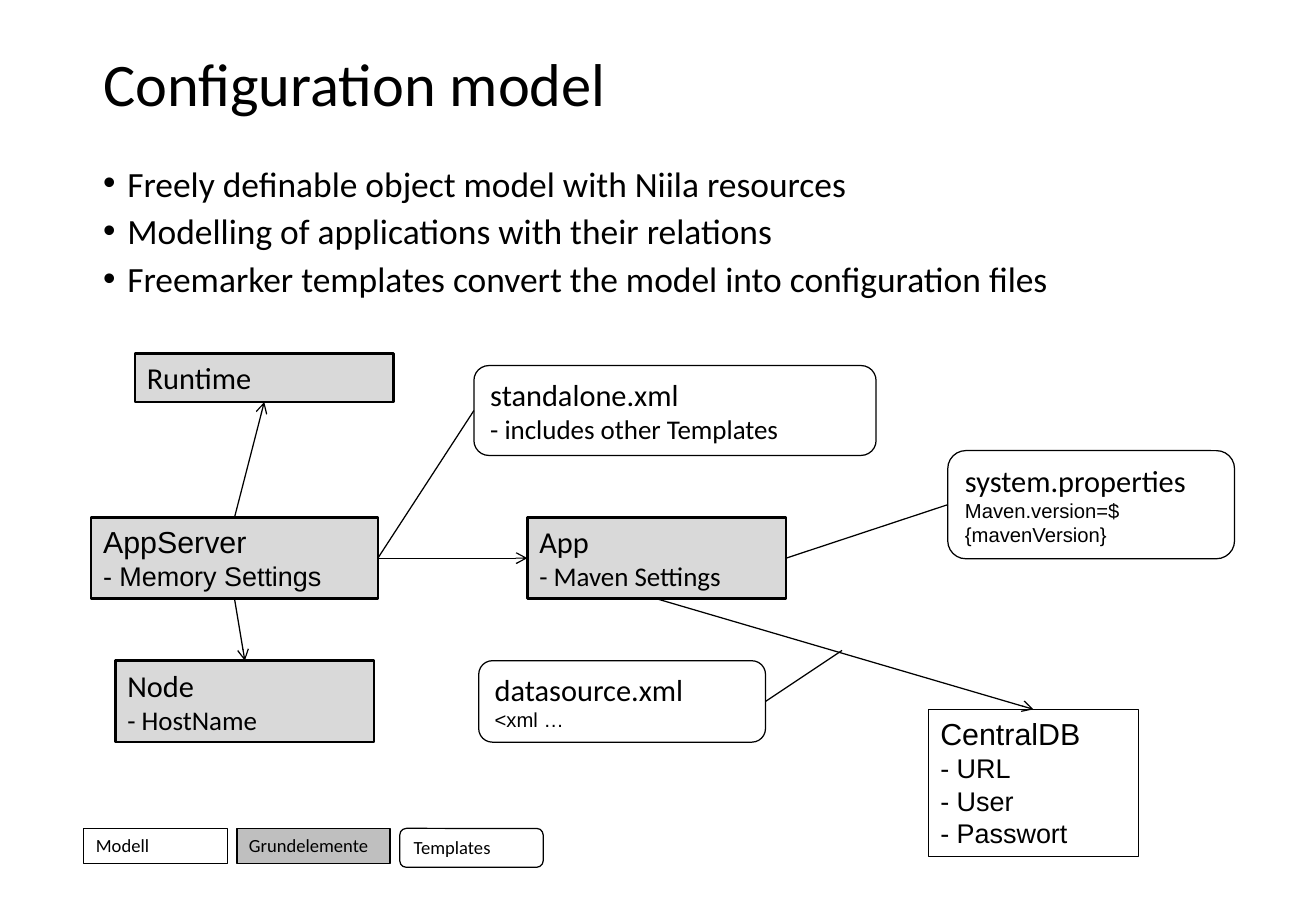
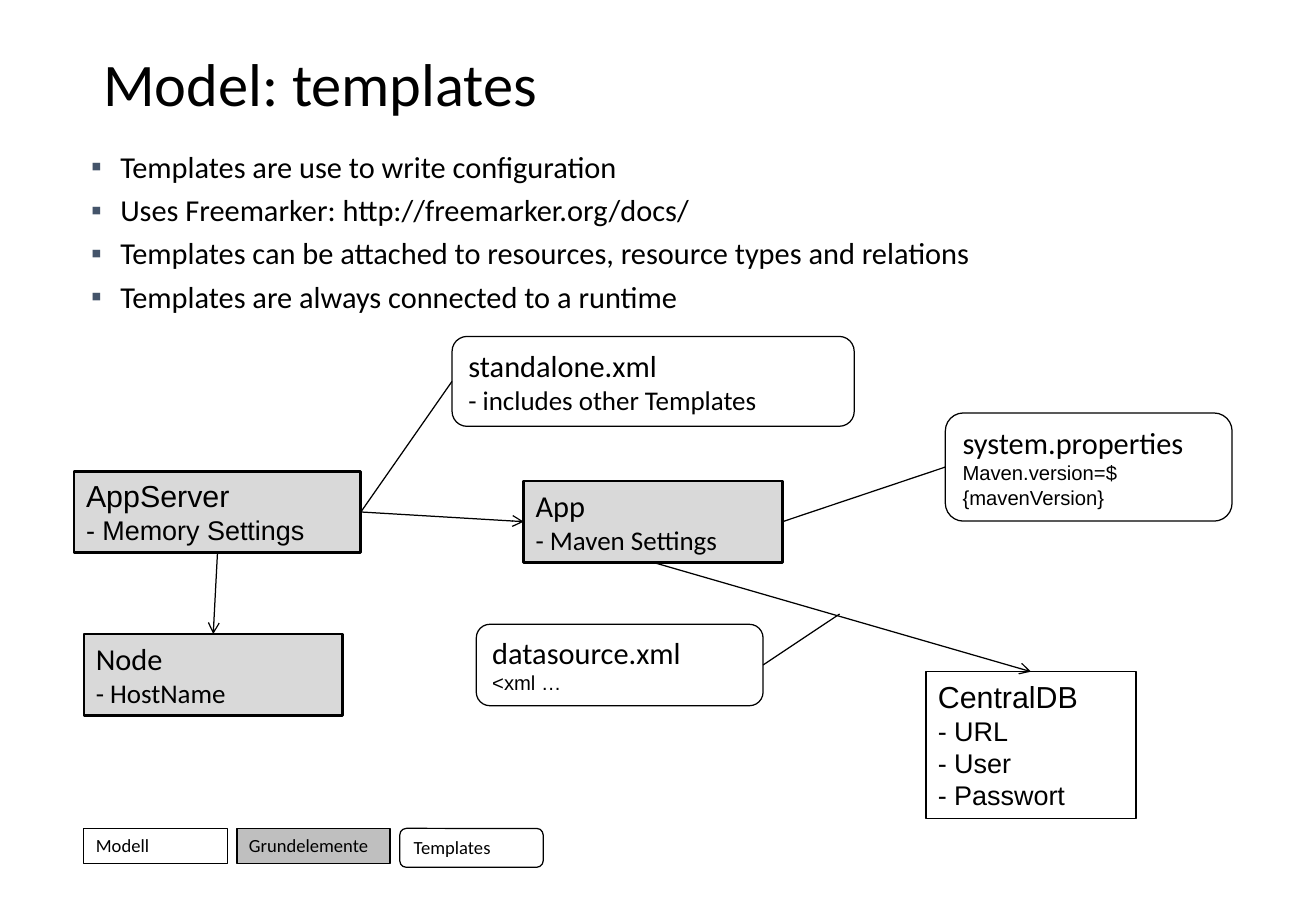
from collections import namedtuple

from lxml.etree import SubElement
from pptx import Presentation
from pptx.dml.color import RGBColor
from pptx.enum.shapes import MSO_CONNECTOR, MSO_SHAPE
from pptx.enum.text import MSO_ANCHOR, MSO_AUTO_SIZE, PP_ALIGN
from pptx.oxml.ns import qn
from pptx.util import Inches, Pt

Style = namedtuple("Style", "outline fill line_width")
Node = namedtuple("Node", "style width height heading details font detail_font detail_size",
                  defaults=("Calibri", "Calibri", 16))

BLACK, WHITE, SLATE = "000000", "FFFFFF", "44546A"
MODEL = Style(MSO_SHAPE.RECTANGLE, WHITE, 0.75)
BASE = Style(MSO_SHAPE.RECTANGLE, "D9D9D9", 1.5)
BASE_KEY = Style(MSO_SHAPE.RECTANGLE, "BFBFBF", 1)
TEMPLATE = Style(MSO_SHAPE.ROUNDED_RECTANGLE, WHITE, 0.75)
TOP, LEFT, BOTTOM, RIGHT = range(4)

NODES = {
    "runtime": Node(BASE, 2.13, 0.4, "Runtime", []),
    "server": Node(BASE, 2.36, 0.67, "AppServer", ["- Memory Settings"], "Arial", "Arial"),
    "node": Node(BASE, 2.13, 0.67, "Node", ["- HostName"]),
    "app": Node(BASE, 2.13, 0.67, "App", ["- Maven Settings"]),
    "database": Node(MODEL, 1.73, 1.21, "CentralDB", ["- URL", "- User", "- Passwort"],
                     "Arial", "Arial"),
    "standalone": Node(TEMPLATE, 3.31, 0.74, "standalone.xml", ["- includes other Templates"]),
    "properties": Node(TEMPLATE, 2.36, 0.89, "system.properties",
                       ["Maven.version=${mavenVersion}"], "Calibri", "Arial", 12),
    "datasource": Node(TEMPLATE, 2.36, 0.67, "datasource.xml", ["<xml …"], "Calibri", "Arial", 12),
}
LINKS = [
    ("server", TOP, "runtime", BOTTOM, True),
    ("server", BOTTOM, "node", TOP, True),
    ("server", RIGHT, "app", LEFT, True),
    ("app", BOTTOM, "database", TOP, True),
    ("server", RIGHT, "standalone", LEFT, False),
    ("app", RIGHT, "properties", LEFT, False),
]
LEGEND = [
    (MODEL, 0.69, 1.18, 0.29, "Modell"),
    (BASE_KEY, 1.95, 1.26, 0.29, "Grundelemente"),
    (TEMPLATE, 3.29, 1.18, 0.32, "Templates"),
]


def rgb(value):
    return RGBColor.from_string(value)


def write(paragraph, text, size, font="Calibri"):
    paragraph.text = text
    paragraph.font.size = Pt(size)
    paragraph.font.name = font
    paragraph.font.color.rgb = rgb(BLACK)


def next_paragraph(frame, index):
    return frame.add_paragraph() if index else frame.paragraphs[0]


def add_titled_slide(deck, text):
    slide = deck.slides.add_slide(deck.slide_layouts[5])
    title = slide.shapes.title
    title.left, title.top, title.width, title.height = map(Inches, (0.75, 0.4, 9.34, 0.99))
    frame = title.text_frame
    frame.auto_size = MSO_AUTO_SIZE.NONE
    frame.vertical_anchor = MSO_ANCHOR.TOP
    heading = frame.paragraphs[0]
    write(heading, text, 35.8)
    heading.alignment = PP_ALIGN.LEFT
    heading.line_spacing = 0.9
    return slide


def add_bullets(slide, place, lines, size, mark, mark_color, indent,
                inset=None, line_spacing=1.0, before=0, after=0):
    frame = slide.shapes.add_textbox(*map(Inches, place)).text_frame
    frame.word_wrap = True
    if inset is not None:
        frame.margin_left = frame.margin_right = Inches(inset)
        frame.margin_top = frame.margin_bottom = Inches(inset)
    for index, line in enumerate(lines):
        paragraph = next_paragraph(frame, index)
        props = paragraph._p.get_or_add_pPr()
        props.set("marL", str(Inches(indent)))
        props.set("indent", str(-Inches(indent)))
        SubElement(SubElement(props, qn("a:buClr")), qn("a:srgbClr")).set("val", mark_color)
        SubElement(props, qn("a:buFont")).set("typeface", "Arial")
        SubElement(props, qn("a:buChar")).set("char", mark)
        paragraph.line_spacing = line_spacing
        paragraph.space_before = Pt(before)
        paragraph.space_after = Pt(after)
        write(paragraph, line, size)


def add_box(slide, style, place, lines):
    box = slide.shapes.add_shape(style.outline, *map(Inches, place))
    box.shadow.inherit = False
    box.fill.solid()
    box.fill.fore_color.rgb = rgb(style.fill)
    box.line.color.rgb = rgb(BLACK)
    box.line.width = Pt(style.line_width)
    frame = box.text_frame
    frame.word_wrap = True
    frame.vertical_anchor = MSO_ANCHOR.TOP
    for index, line in enumerate(lines):
        paragraph = next_paragraph(frame, index)
        paragraph.alignment = PP_ALIGN.LEFT
        write(paragraph, *line)
    return box


def add_node(slide, node, left, top):
    lines = [(node.heading, 18, node.font)]
    lines += [(detail, node.detail_size, node.detail_font) for detail in node.details]
    return add_box(slide, node.style, (left, top, node.width, node.height), lines)


def add_link(slide, source, site, arrow=False):
    link = slide.shapes.add_connector(MSO_CONNECTOR.STRAIGHT, 0, 0, 0, 0)
    link.begin_connect(source, site)
    link.line.color.rgb = rgb(BLACK)
    link.line.width = Pt(0.75)
    if arrow:
        SubElement(link.line._get_or_add_ln(), qn("a:tailEnd")).set("type", "arrow")
    SubElement(link._element.spPr, qn("a:effectLst"))
    return link


def add_diagram(slide, places):
    boxes = {key: add_node(slide, NODES[key], *place) for key, place in places.items()}
    for source, source_site, target, target_site, arrow in LINKS:
        if source in boxes and target in boxes:
            link = add_link(slide, boxes[source], source_site, arrow)
            link.end_connect(boxes[target], target_site)
    relation = add_link(slide, boxes["datasource"], RIGHT)
    start_x, start_y = relation.begin_x, relation.begin_y
    relation.end_x = start_x + Inches(0.63)
    relation.end_y = start_y - Inches(0.42)
    for style, left, width, height, label in LEGEND:
        add_box(slide, style, (left, 6.82, width, height), [(label, 11)])


def main():
    deck = Presentation()
    deck.slide_width, deck.slide_height = Inches(10.83), Inches(7.5)

    configuration = add_titled_slide(deck, "Configuration model")
    add_bullets(configuration, (0.75, 1.35, 9.34, 1.17), [
        "Freely definable object model with Niila resources",
        "Modelling of applications with their relations",
        "Freemarker templates convert the model into configuration files",
    ], 21, "•", BLACK, 0.2, line_spacing=0.8, before=8.1)
    add_diagram(configuration, {
        "runtime": (1.11, 2.91), "server": (0.75, 4.26), "node": (0.95, 5.44),
        "app": (4.34, 4.26), "database": (7.64, 5.84), "standalone": (3.9, 3.01),
        "properties": (7.8, 3.71), "datasource": (3.94, 5.44),
    })

    templates = add_titled_slide(deck, "Model: templates")
    add_bullets(templates, (0.75, 1.22, 9.76, 1.5), [
        "Templates are use to write configuration",
        "Uses Freemarker: http://freemarker.org/docs/",
        "Templates can be attached to resources, resource types and relations",
        "Templates are always connected to a runtime",
    ], 18, "▪", SLATE, 0.24, inset=0, after=4)
    add_diagram(templates, {
        "server": (0.61, 3.88), "node": (0.69, 5.22), "app": (4.31, 3.96),
        "database": (7.62, 5.53), "standalone": (3.72, 2.77),
        "properties": (7.78, 3.4), "datasource": (3.92, 5.14),
    })

    deck.save("out.pptx")


if __name__ == "__main__":
    main()
